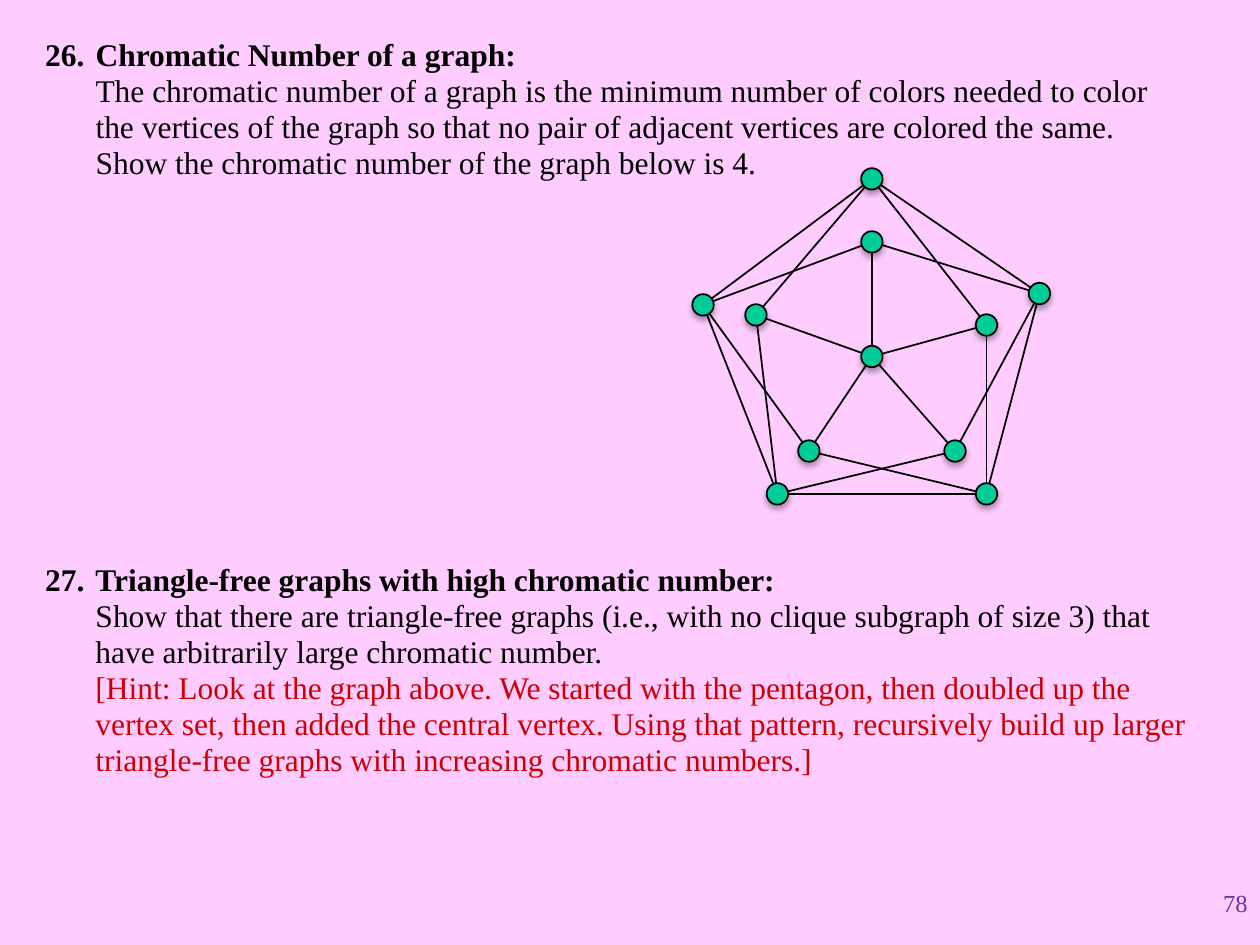
from lxml.etree import SubElement
from pptx import Presentation
from pptx.dml.color import RGBColor
from pptx.enum.shapes import MSO_CONNECTOR, MSO_SHAPE
from pptx.enum.text import MSO_AUTO_SIZE, PP_ALIGN
from pptx.oxml.ns import qn
from pptx.util import Inches, Pt

PINK = RGBColor(0xFF, 0xCC, 0xFF)
GREEN = RGBColor(0x00, 0xCC, 0x99)
BLACK = RGBColor(0, 0, 0)
RED = RGBColor(0xCC, 0, 0)
PURPLE = RGBColor(0x70, 0x30, 0xA0)


class ExerciseSlide:
    """Hold the style and the slide, with a method for each kind of element."""

    font = "Times New Roman"
    node_size = 0.17

    def __init__(self, slide):
        self.slide = slide
        self.slide.background.fill.solid()
        self.slide.background.fill.fore_color.rgb = PINK
        self.graph = None

    def style(self, run, size, color, bold=False):
        run.font.name = self.font
        run.font.size = Pt(size)
        run.font.bold = bold
        run.font.color.rgb = color

    def text_frame(self, left, top, width, height):
        box = self.slide.shapes.add_textbox(
            Inches(left), Inches(top), Inches(width), Inches(height))
        box.text_frame.word_wrap = True
        return box.text_frame

    def exercise(self, number, bounds, lines):
        frame = self.text_frame(*bounds)
        frame.auto_size = MSO_AUTO_SIZE.SHAPE_TO_FIT_TEXT
        paragraph = frame.paragraphs[0]
        paragraph.text = "\v".join(text for text, _ in lines)
        for index, (run, (_, color)) in enumerate(zip(paragraph.runs, lines)):
            self.style(run, 18, color, bold=index == 0)
        paragraph.line_spacing = 0.95
        paragraph.space_before = Pt(3.6)
        properties = paragraph._p.get_or_add_pPr()
        properties.set("marL", str(Inches(0.41)))
        properties.set("indent", str(Inches(-0.4)))
        SubElement(properties, qn("a:buFont"), typeface=self.font)
        SubElement(properties, qn("a:buAutoNum"), type="arabicPeriod", startAt=str(number))
        tabs = SubElement(properties, qn("a:tabLst"))
        SubElement(tabs, qn("a:tab"), pos=str(Inches(0.41)), algn="l")

    def page_number(self, number):
        paragraph = self.text_frame(7.92, 7, 2.08, 0.5).paragraphs[0]
        paragraph.text = str(number)
        paragraph.alignment = PP_ALIGN.RIGHT
        self.style(paragraph.runs[0], 14, PURPLE)

    def start_graph(self):
        self.graph = self.slide.shapes.add_group_shape().shapes

    def edge(self, start, end):
        line = self.graph.add_connector(
            MSO_CONNECTOR.STRAIGHT, *(Inches(value) for value in (*start, *end)))
        line.line.color.rgb = BLACK
        line.line.width = Pt(1)
        SubElement(line._element.spPr, qn("a:effectLst"))

    def vertex(self, center):
        left, top = (Inches(value - self.node_size / 2) for value in center)
        size = Inches(self.node_size)
        node = self.graph.add_shape(MSO_SHAPE.OVAL, left, top, size, size)
        node.fill.solid()
        node.fill.fore_color.rgb = GREEN
        node.line.color.rgb = BLACK
        node.line.width = Pt(1)
        effects = SubElement(node._element.spPr, qn("a:effectLst"))
        shadow = SubElement(
            effects, qn("a:outerShdw"), blurRad=str(Pt(3.5)), dist=str(Pt(2.2)),
            dir="5400000", rotWithShape="0")
        tint = SubElement(shadow, qn("a:srgbClr"), val=str(BLACK))
        SubElement(tint, qn("a:alpha"), val="32000")


presentation = Presentation()
presentation.slide_width = Inches(10)
presentation.slide_height = Inches(7.5)
page = ExerciseSlide(presentation.slides.add_slide(presentation.slide_layouts[6]))

page.exercise(26, (0.25, 0.25, 9.25, 1.24), [
    ("Chromatic Number of a graph:", BLACK),
    ("The chromatic number of a graph is the minimum number of colors needed to color "
     "the vertices of the graph so that no pair of adjacent vertices are colored the same.",
     BLACK),
    ("Show the chromatic number of the graph below is 4.", BLACK),
])

hub = (6.92, 2.83)
pentagon = [(6.92, 1.42), (8.25, 2.33), (7.83, 3.92), (6.17, 3.92), (5.58, 2.42)]
twins = [(6.92, 1.92), (7.83, 2.58), (7.58, 3.58), (6.42, 3.58), (6, 2.5)]

page.start_graph()
for index, twin in enumerate(twins):
    previous, following = pentagon[index - 1], pentagon[(index + 1) % len(pentagon)]
    page.edge(hub, twin)
    page.edge(twin, previous)
    page.edge(twin, following)
    page.edge(pentagon[index], following)
for center in [*pentagon, *twins, hub]:
    page.vertex(center)

page.exercise(27, (0.25, 4.42, 9.33, 1.81), [
    ("Triangle-free graphs with high chromatic number:", BLACK),
    ("Show that there are triangle-free graphs (i.e., with no clique subgraph of size 3) "
     "that have arbitrarily large chromatic number.", BLACK),
    ("[Hint: Look at the graph above. We started with the pentagon, then doubled up the "
     "vertex set, then added the central vertex. Using that pattern, recursively build up "
     "larger triangle-free graphs with increasing chromatic numbers.]", RED),
])
page.page_number(78)

presentation.save("out.pptx")
